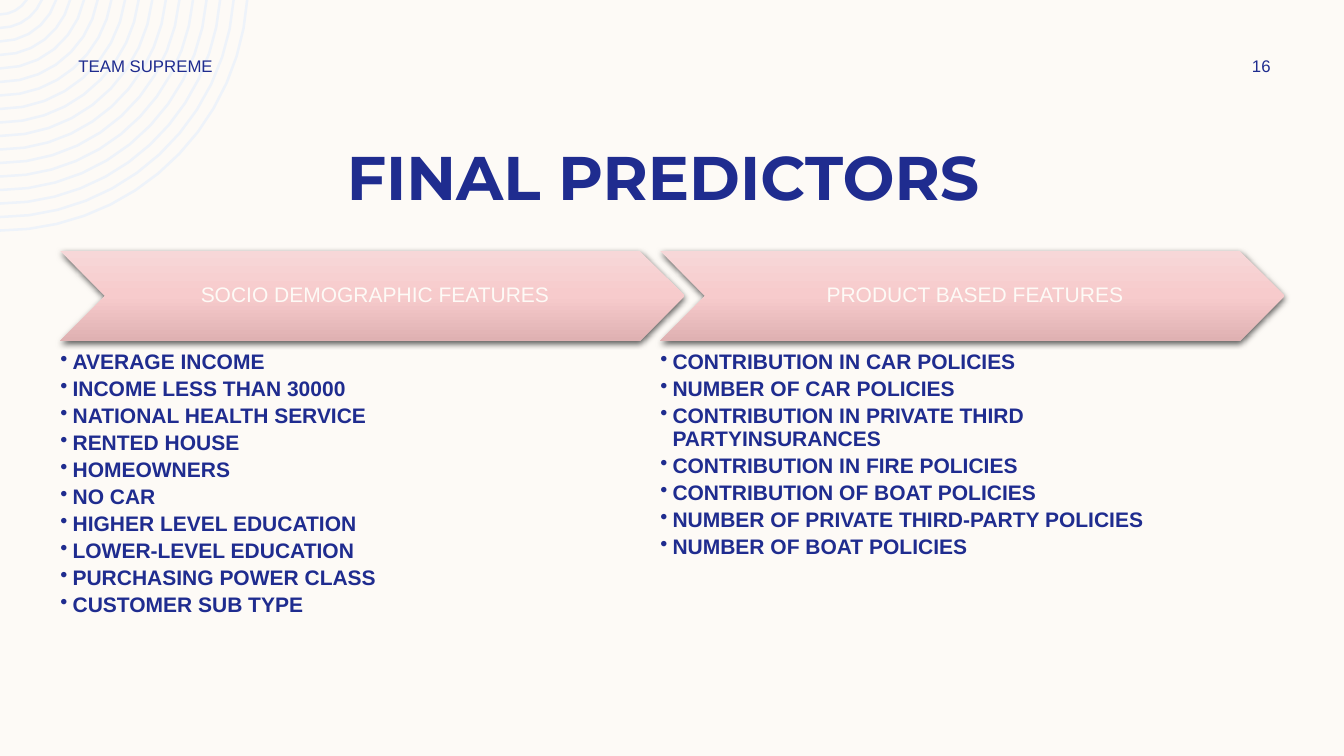
from math import asin, cos, pi, sin

from lxml import etree
from pptx import Presentation
from pptx.dml.color import RGBColor
from pptx.enum.shapes import MSO_SHAPE
from pptx.enum.text import MSO_ANCHOR, PP_ALIGN
from pptx.oxml import parse_xml
from pptx.oxml.ns import nsdecls, qn
from pptx.util import Inches, Pt

CHEVRON = MSO_SHAPE.CHEVRON
LEFT, CENTER = PP_ALIGN.LEFT, PP_ALIGN.CENTER
TOP, MIDDLE = MSO_ANCHOR.TOP, MSO_ANCHOR.MIDDLE

THEME = {
    "paper": "FDFAF6", "navy": "1F2C8F", "rings": "EEF3FA",
    "gradient": [(0, "F7D7D8"), (50, "F7CBCC"), (100, "DFB1B2")],
    "head": "Montserrat", "body": "Arial",
    "title": 44, "text": 15, "label": 12,
}

# Two-column grid, in inches
W, H = 13.33, 7.5
COL_LEFT, COL_STEP = 0.6, 5.95
CHEVRON_W, LIST_W = 6.19, 4.95
CHEVRON_TOP, CHEVRON_H = 2.49, 0.89
LIST_TOP, LIST_H = 3.49, 3.47

COLUMNS = [
    ("SOCIO DEMOGRAPHIC FEATURES", [
        "AVERAGE INCOME", "INCOME LESS THAN 30000", "NATIONAL HEALTH SERVICE",
        "RENTED HOUSE", "HOMEOWNERS", "NO CAR", "HIGHER LEVEL EDUCATION",
        "LOWER-LEVEL EDUCATION", "PURCHASING POWER CLASS", "CUSTOMER SUB TYPE"]),
    ("PRODUCT BASED FEATURES", [
        "CONTRIBUTION IN CAR POLICIES", "NUMBER OF CAR POLICIES",
        "CONTRIBUTION IN PRIVATE THIRD PARTYINSURANCES",
        "CONTRIBUTION IN FIRE POLICIES", "CONTRIBUTION OF BOAT POLICIES",
        "NUMBER OF PRIVATE THIRD-PARTY POLICIES", "NUMBER OF BOAT POLICIES"]),
]


def write(sp, lines, size, color="navy", font="body", bold=False, align=LEFT,
          anchor=TOP, insets=(0.1, 0.05, 0.1, 0.05), spacing=1.0, after=0,
          bullet=False):
    """Fill a shape with one paragraph per line."""
    tf = sp.text_frame
    tf.word_wrap = True
    tf.vertical_anchor = anchor
    (tf.margin_left, tf.margin_top,
     tf.margin_right, tf.margin_bottom) = map(Inches, insets)
    for i, line in enumerate(lines):
        p = tf.paragraphs[0] if i == 0 else tf.add_paragraph()
        p.alignment = align
        p.line_spacing = spacing
        p.space_after = Pt(after)
        if bullet:
            pPr = p._p.get_or_add_pPr()
            pPr.set("marL", str(Inches(0.12)))
            pPr.set("indent", str(-Inches(0.12)))
            etree.SubElement(pPr, qn("a:buChar")).set("char", "•")
        r = p.add_run()
        r.text = line
        r.font.name = THEME[font]
        r.font.size = Pt(THEME[size])
        r.font.bold = bold
        r.font.color.rgb = RGBColor.from_string(THEME[color])


prs = Presentation()
prs.slide_width, prs.slide_height = Inches(W), Inches(H)
s = prs.slides.add_slide(prs.slide_layouts[6])
s.background.fill.solid()
s.background.fill.fore_color.rgb = RGBColor.from_string(THEME["paper"])

# Concentric rings in the corner, centred just above the slide;
# wider rings get more segments
RINGS, OUTER, RING_STEP, THICK, RISE = 17, 2.47, 0.134, 0.025, 0.17
fb = None
for i in range(RINGS):
    outer = OUTER - i * RING_STEP
    steps = 3 + round(outer * 4)
    pts = []
    for radius, order in ((outer, 1), (outer - THICK, -1)):
        start = asin(RISE / radius)
        angles = [start + (pi / 2 - start) * k / steps for k in range(steps + 1)]
        pts += [(Inches(radius * cos(a)), Inches(radius * sin(a) - RISE))
                for a in angles[::order]]
    if fb is None:
        fb = s.shapes.build_freeform(*pts[0])
    else:
        fb.move_to(*pts[0])
    fb.add_line_segments(pts[1:], close=True)
sp = fb.convert_to_shape()
sp.shadow.inherit = False
sp.fill.solid()
sp.fill.fore_color.rgb = RGBColor.from_string(THEME["rings"])
sp.line.fill.background()

# Title, team name and page number
for text, box, fmt in [
    ("FINAL PREDICTORS ", (0.83, 1.33, 11.67, 0.84),
     dict(size="title", font="head", bold=True, align=CENTER)),
    ("TEAM SUPREME", (0.68, 0.5, 3.5, 0.3), dict(size="label", anchor=MIDDLE)),
    ("16", (11.97, 0.5, 1.08, 0.3),
     dict(size="label", anchor=MIDDLE, align=CENTER)),
]:
    write(s.shapes.add_textbox(*map(Inches, box)), [text], **fmt)

# Chevron header and bullet list for each column
stops = "".join(f'<a:gs pos="{pos * 1000}"><a:srgbClr val="{rgb}"/></a:gs>'
                for pos, rgb in THEME["gradient"])
for i, (header, features) in enumerate(COLUMNS):
    x = COL_LEFT + i * COL_STEP
    sp = s.shapes.add_shape(CHEVRON, Inches(x), Inches(CHEVRON_TOP),
                            Inches(CHEVRON_W), Inches(CHEVRON_H))
    spPr = sp._element.spPr
    spPr.append(parse_xml(
        f'<a:gradFill {nsdecls("a")} rotWithShape="1"><a:gsLst>{stops}</a:gsLst>'
        '<a:lin ang="5400000" scaled="0"/></a:gradFill>'))
    sp.line.fill.background()
    spPr.append(parse_xml(
        f'<a:effectLst {nsdecls("a")}><a:outerShdw blurRad="{Pt(4.5)}" '
        f'dist="{Pt(1.5)}" dir="5400000" algn="ctr" rotWithShape="0">'
        '<a:srgbClr val="000000"><a:alpha val="63000"/></a:srgbClr>'
        '</a:outerShdw></a:effectLst>'))
    write(sp, [header], "text", color="paper", align=CENTER, anchor=MIDDLE,
          insets=(0.07, 0.02, 0.02, 0.02), spacing=0.9)

    sp = s.shapes.add_textbox(Inches(x), Inches(LIST_TOP),
                              Inches(LIST_W), Inches(LIST_H))
    write(sp, features, "text", bold=True, insets=(0, 0, 0, 0), spacing=0.9,
          after=3, bullet=True)

prs.save("out.pptx")
